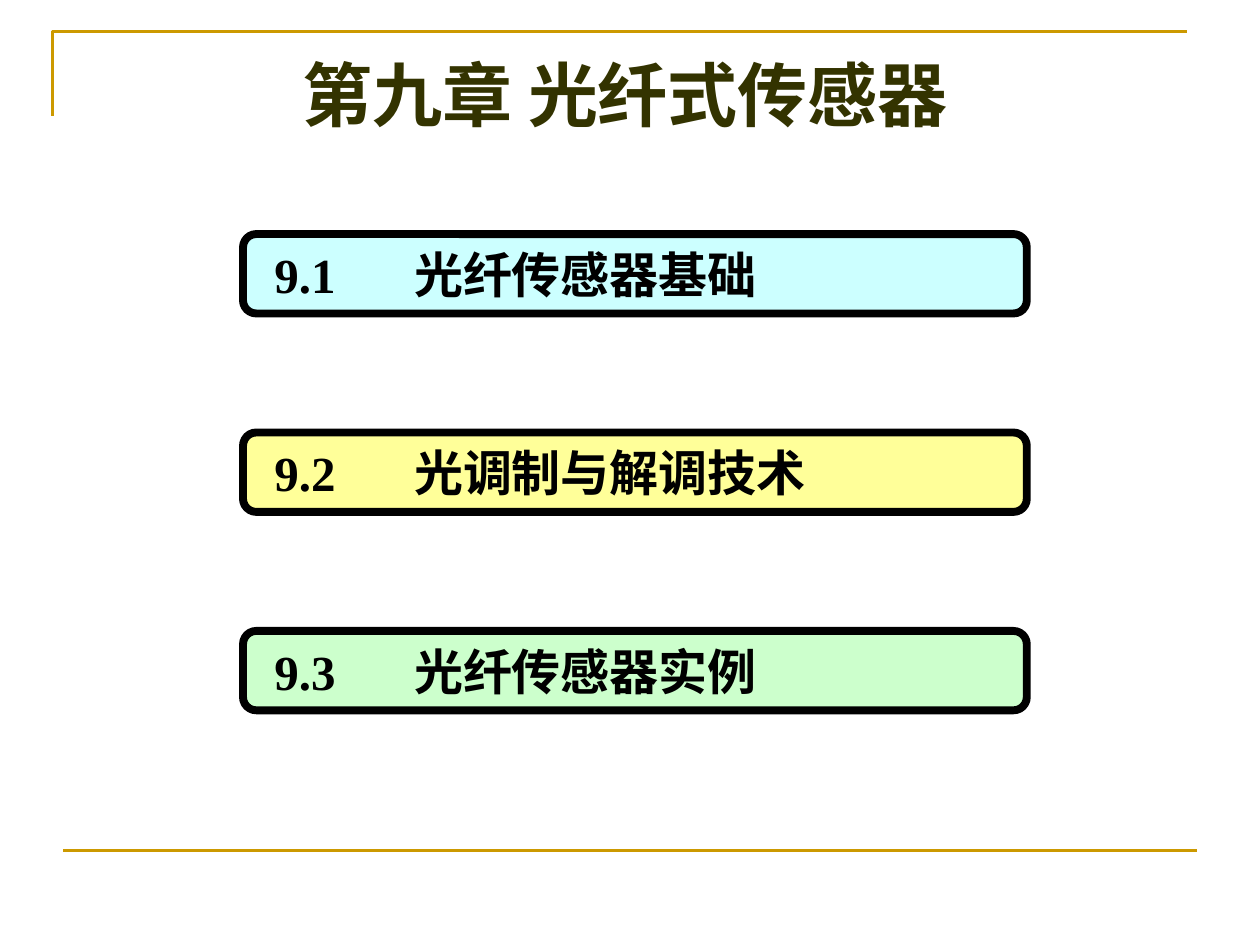
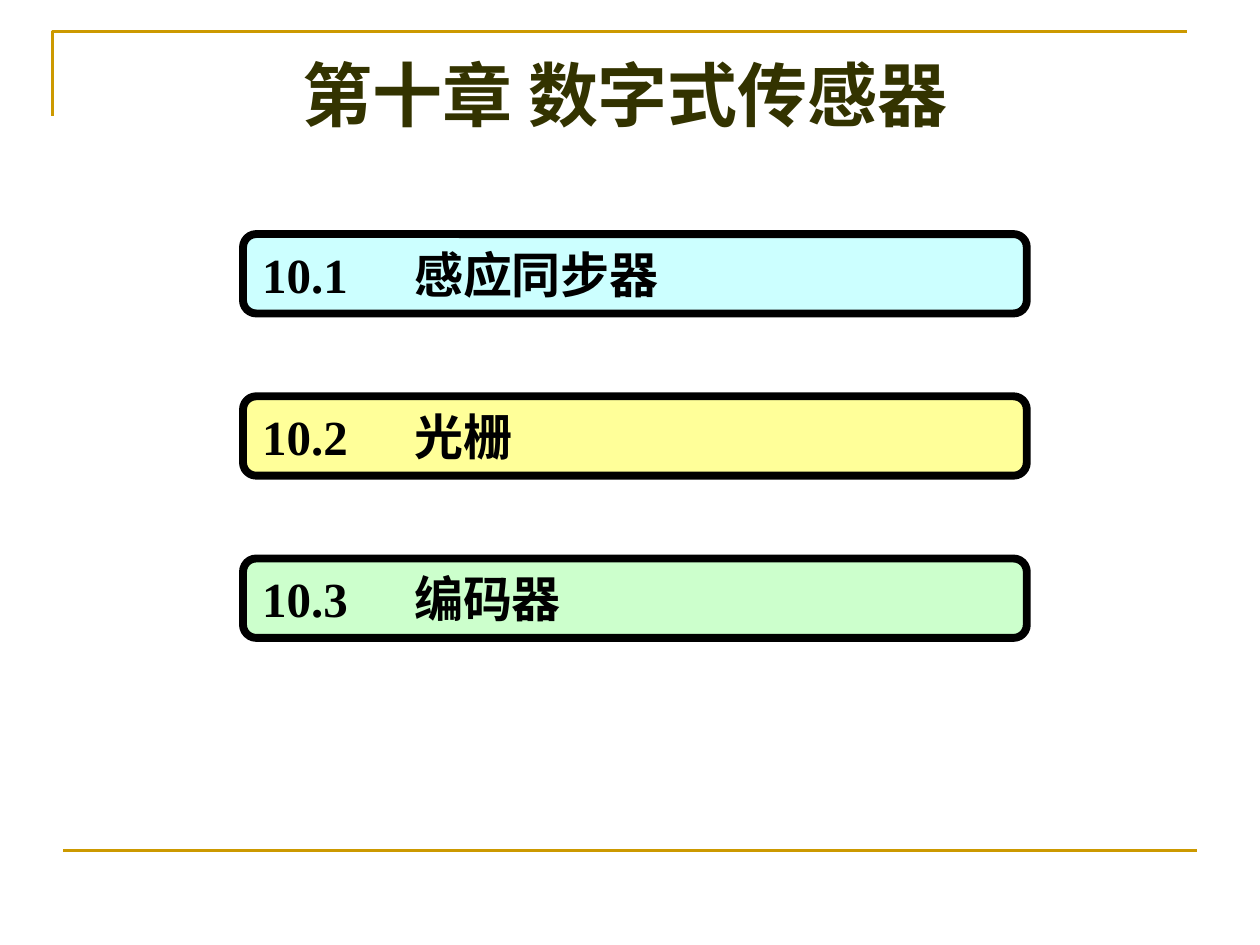
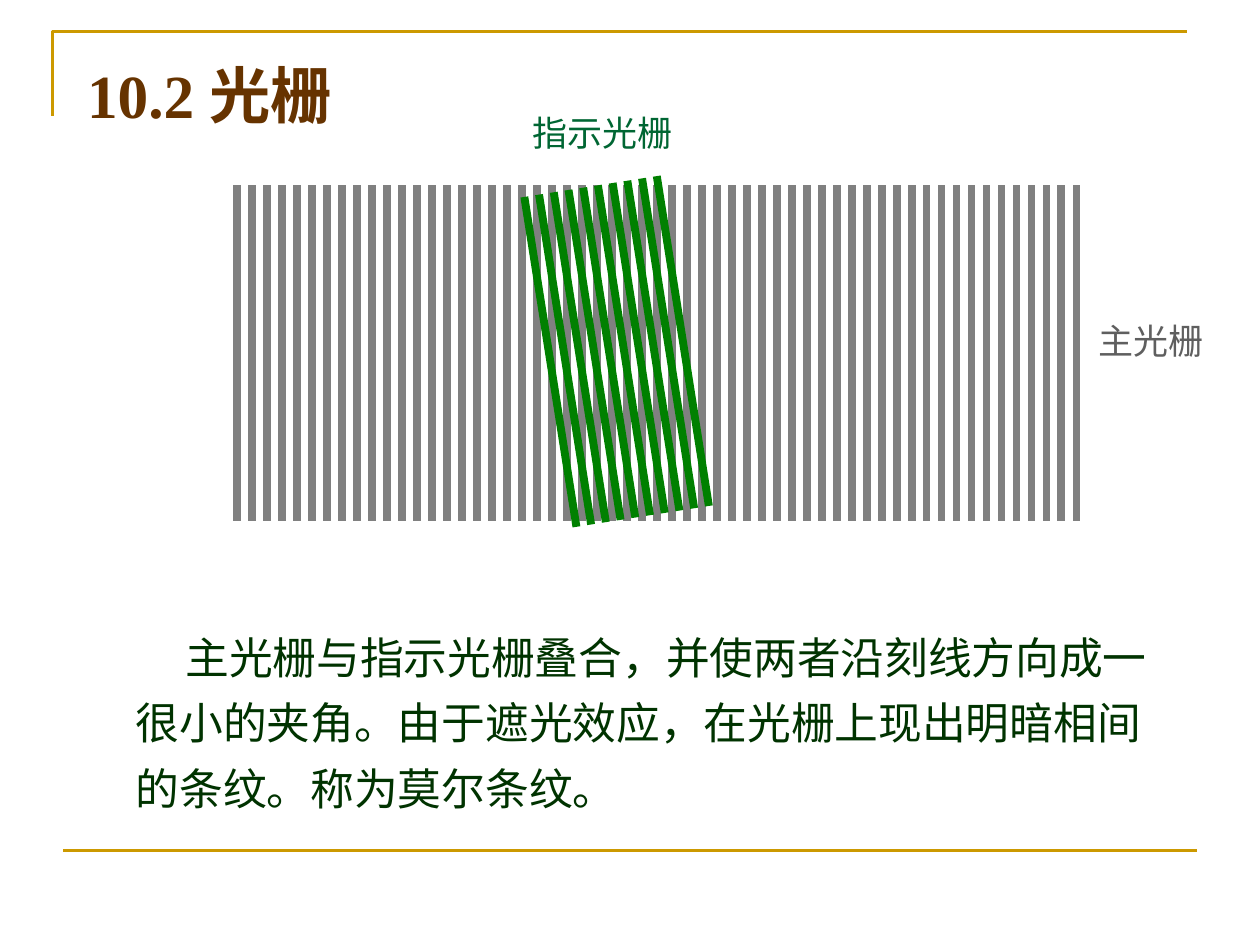
import pptx
import pptx.util
import pptx.dml.color
import pptx.enum.shapes
import pptx.enum.text
import pptx.oxml.ns
import lxml.etree
from dataclasses import dataclass

Cm = pptx.util.Cm
Pt = pptx.util.Pt
ALIGN = pptx.enum.text.PP_ALIGN
ANCHOR = pptx.enum.text.MSO_ANCHOR


@dataclass(frozen=True)
class Theme:
    """Colours, fonts and type sizes of the deck."""
    rule: str = "CC9900"
    chapter: str = "333300"
    section: str = "663300"
    ink: str = "000000"
    rows: tuple = ("CCFFFF", "FFFF99", "CCFFCC")
    main_lines: str = "808080"
    main_label: str = "5F5F5F"
    index_lines: str = "008000"
    index_label: str = "006633"
    body: str = "003300"
    sans: str = "Arial"
    serif: str = "Times New Roman"
    cjk: str = "Noto Sans CJK SC"
    chapter_size: int = 40
    section_size: int = 35
    row_size: int = 28
    body_size: int = 25
    label_size: int = 20
    thin: float = 1.5
    thick: float = 4.5


THEME = Theme()


def rgb(code):
    """Turn a hex code into a colour."""
    return pptx.dml.color.RGBColor.from_string(code)


def apply(target, formats):
    """Set every attribute of a dict on the target."""
    for key, value in formats.items():
        setattr(target, key, value)


def place(part, box):
    """Move a part to a box given in centimetres."""
    apply(part, dict(zip(("left", "top", "width", "height"), map(Cm, box))))


def write(frame, runs, size, color, bold=False, paragraph=None, **settings):
    """Write one paragraph of (text, font) runs into a text frame."""
    apply(frame, {"word_wrap": True, "auto_size": pptx.enum.text.MSO_AUTO_SIZE.NONE,
                  "vertical_anchor": ANCHOR.TOP, **settings})
    line = frame.paragraphs[0]
    apply(line, paragraph or {})
    for text, font in runs:
        run = line.add_run()
        run.text = text
        apply(run.font, {"name": font, "size": Pt(size), "bold": bold})
        run.font.color.rgb = rgb(color)
        east_asian = lxml.etree.SubElement(run.font._element, pptx.oxml.ns.qn("a:ea"))
        east_asian.set("typeface", THEME.cjk)


def add_text(slide, box, *content, **settings):
    """Add a text box with one paragraph."""
    frame = slide.shapes.add_textbox(*map(Cm, box)).text_frame
    write(frame, *content, **settings)


def add_line(slide, start, end, color, width):
    """Draw a straight line without a shadow."""
    line = slide.shapes.add_connector(
        pptx.enum.shapes.MSO_CONNECTOR.STRAIGHT, *map(Cm, start + end))
    line.line.color.rgb = rgb(color)
    line.line.width = Pt(width)
    lxml.etree.SubElement(line._element.spPr, pptx.oxml.ns.qn("a:effectLst"))
    return line


def frame_layout(layout, slide):
    """Draw the corner and bottom rules and hand them to the layout."""
    pen = slide.shapes.build_freeform(Cm(1.06), Cm(2.33))
    pen.add_line_segments([(Cm(1.06), Cm(0.64)), (Cm(23.92), Cm(0.64))], close=False)
    corner = pen.convert_to_shape()
    corner.shadow.inherit = False
    corner.fill.background()
    corner.line.color.rgb = rgb(THEME.rule)
    corner.line.width = Pt(THEME.thin)
    bottom = add_line(slide, (1.27, 17.14), (24.13, 17.14), THEME.rule, THEME.thin)
    for rule in (corner, bottom):
        layout.shapes._spTree.append(rule._element)


def add_title(slide, box, *content, **settings):
    """Place and write the title placeholder."""
    place(slide.shapes.title, box)
    write(slide.shapes.title.text_frame, *content, bold=True, **settings)


def contents_row(slide, box, number, topic, color):
    """Draw one numbered row of the contents."""
    left, top, width, height = box
    bar = slide.shapes.add_shape(
        pptx.enum.shapes.MSO_SHAPE.ROUNDED_RECTANGLE, *map(Cm, box))
    bar.shadow.inherit = False
    bar.fill.solid()
    bar.fill.fore_color.rgb = rgb(color)
    bar.line.color.rgb = rgb(THEME.ink)
    bar.line.width = Pt(THEME.thick)
    add_text(slide, (left + 0.13, top + 0.08, 2.24, 1.45), [(number, THEME.serif)],
             THEME.row_size, THEME.ink, bold=True, word_wrap=False,
             paragraph={"alignment": ALIGN.CENTER})
    add_text(slide, (left + 3.2, top + 0.08, width - 3.2, 1.45), [(topic, THEME.sans)],
             THEME.row_size, THEME.ink, bold=True)


def chapter_slide(slide, title, chapter, topics, pitch):
    """Build a chapter opener with its list of sections."""
    add_title(slide, (4.7, 0.91, 15.8, 2.36), [(title, THEME.cjk)],
              THEME.chapter_size, THEME.chapter, paragraph={"alignment": ALIGN.CENTER})
    for i, (topic, color) in enumerate(zip(topics, THEME.rows)):
        contents_row(slide, (4.9, 4.72 + i * pitch, 15.8, 1.6),
                     f"{chapter}.{i + 1}", topic, color)


def grating(slide, box, count, lean, rise, color):
    """Draw evenly spaced lines that lean sideways and climb to the right."""
    left, top, width, height = box
    for i in range(count):
        x = left + i * width / (count - 1)
        y = top - i * rise / (count - 1)
        add_line(slide, (x, y), (x + lean, y + height), color, THEME.thick)


def moire_figure(slide, box):
    """Draw the index grating laid over the main grating, with labels."""
    left, top, width, height = box
    grating(slide, box, 57, 0, 0, THEME.main_lines)
    add_text(slide, (left + 17.12, top + 2.59, 3, 1.12), [("主光栅", THEME.sans)],
             THEME.label_size, THEME.main_label)
    grating(slide, (left + 5.79, top + 0.24, 2.67, 6.65), 10, 1.05, 0.42,
            THEME.index_lines)
    add_text(slide, (left + 5.71, top - 1.6, 3.61, 1.12), [("指示光栅", THEME.sans)],
             THEME.label_size, THEME.index_label)


def grating_slide(slide):
    """Build the slide on gratings and moire fringes."""
    add_title(slide, (1.5, 1.02, 12.4, 1.75), [("10.2 ", THEME.serif), ("光栅", THEME.sans)],
              THEME.section_size, THEME.section, paragraph={"alignment": ALIGN.LEFT},
              vertical_anchor=ANCHOR.MIDDLE)
    moire_figure(slide, (4.78, 3.73, 16.92, 6.78))
    explanation = ("主光栅与指示光栅叠合，并使两者沿刻线方向成一很小的夹角。"
                   "由于遮光效应，在光栅上现出明暗相间的条纹。称为莫尔条纹。")
    box = slide.shapes.add_textbox(*map(Cm, (2.49, 12.32, 21.41, 4.22)))
    write(box.text_frame, [(explanation, THEME.sans)], THEME.body_size, THEME.body,
          paragraph={"line_spacing": 1.25})
    box.text_frame.paragraphs[0]._p.get_or_add_pPr().set("indent", str(Cm(1)))


def main():
    """Build the three slides and save them."""
    deck = pptx.Presentation()
    apply(deck, {"slide_width": Cm(25.4), "slide_height": Cm(19.05)})
    layout = deck.slide_layouts[5]
    optics, digital, gratings = (deck.slides.add_slide(layout) for _ in range(3))
    frame_layout(layout, optics)
    chapter_slide(optics, "第九章 光纤式传感器", 9,
                  ("光纤传感器基础", "光调制与解调技术", "光纤传感器实例"), 4)
    chapter_slide(digital, "第十章 数字式传感器", 10,
                  ("感应同步器", "光栅", "编码器"), 3.27)
    grating_slide(gratings)
    deck.save("out.pptx")


main()
